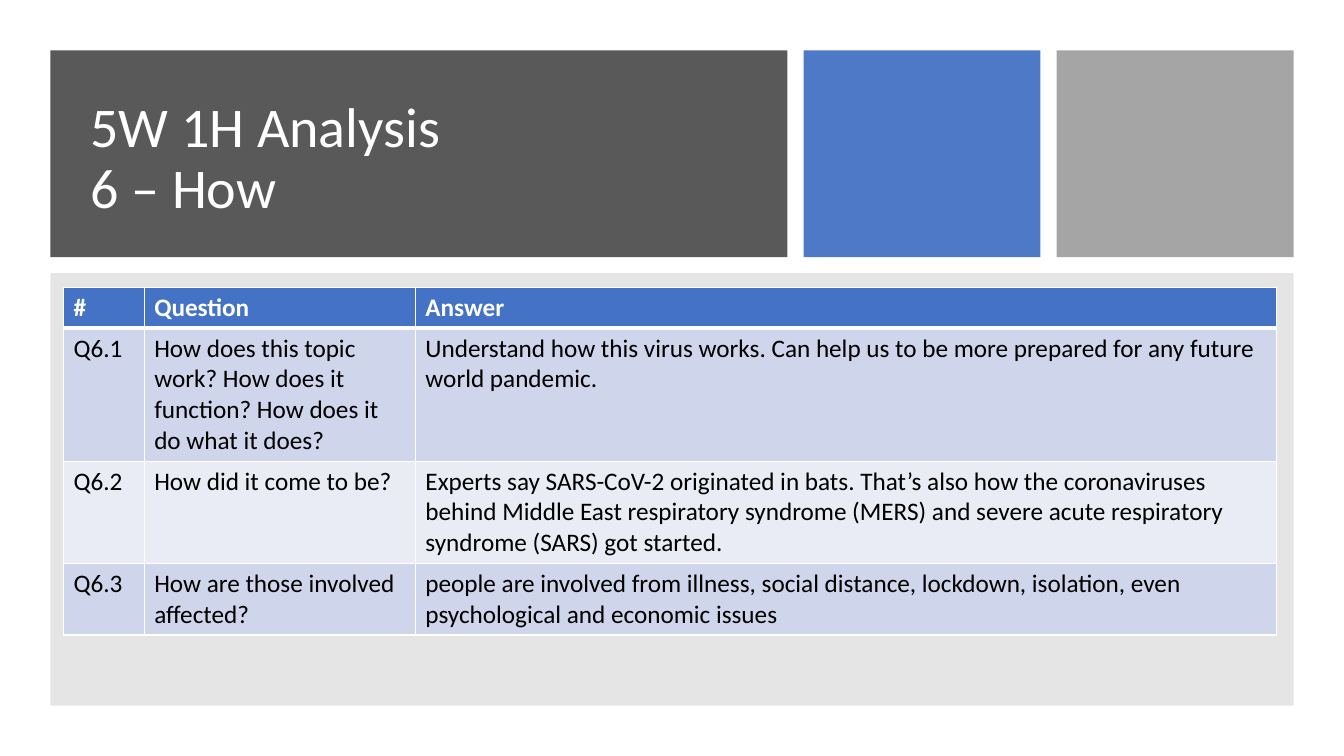
from lxml import etree
from pptx import Presentation
from pptx import util as u
from pptx.dml.color import RGBColor
from pptx.enum import shapes, text
from pptx.oxml import ns

WIDTH, HEIGHT = 13.33, 7.5
MARGIN, GAP = 0.5, 0.16
FONT = "Calibri"
WHITE, BLACK, BLUE = "FFFFFF", "000000", "4472C4"
BANDS = ("CFD5EA", "E9EBF5")
LINE_HEIGHT, CELL_PADDING = 0.305, 0.1

COLUMN_WIDTHS = (0.8, 2.69, 8.54)
HEADINGS = ("#", "Question", "Answer")
# Each entry: number of text lines in the row, then its cells
QUESTIONS = (
    (4, "Q6.1",
     "How does this topic work? How does it function? How does it do what it does?",
     "Understand how this virus works. Can help us to be more prepared for any "
     "future world pandemic. "),
    (3, "Q6.2", "How did it come to be?",
     "Experts say SARS-CoV-2 originated in bats. That’s also how the coronaviruses "
     "behind Middle East respiratory syndrome (MERS) and severe acute respiratory "
     "syndrome (SARS) got started."),
    (2, "Q6.3", "How are those involved affected?",
     "people are involved from illness, social distance, lockdown, isolation, even "
     "psychological and economic issues"),
)


def color(value):
    """Turn a hex string into a colour."""
    return RGBColor.from_string(value)


def inches(*lengths):
    """Convert lengths in inches to slide units."""
    return [u.Inches(length) for length in lengths]


def format_font(font, hex_color, **values):
    """Set the shared font, its colour and further format values."""
    for name, value in {"name": FONT, **values}.items():
        setattr(font, name, value)
    font.color.rgb = color(hex_color)


def add_panel(slide, box, fill, opacity=100):
    """Add a borderless rectangle, optionally see-through."""
    panel = slide.shapes.add_shape(shapes.MSO_SHAPE.RECTANGLE, *inches(*box))
    panel.shadow.inherit = False
    panel.line.fill.background()
    panel.fill.solid()
    panel.fill.fore_color.rgb = color(fill)
    if opacity < 100:
        fill_color = panel._element.spPr.find(".//" + ns.qn("a:srgbClr"))
        alpha = etree.SubElement(fill_color, ns.qn("a:alpha"))
        alpha.set("val", str(opacity * 1000))


def add_title(slide, box, title):
    """Add the title, centred vertically in its panel."""
    left, top, width, height = box
    inset = 0.3
    textbox = slide.shapes.add_textbox(
        *inches(left + inset, top + inset, width - inset, height - 1.6 * inset))
    frame = textbox.text_frame
    frame.word_wrap = True
    frame.vertical_anchor = text.MSO_ANCHOR.MIDDLE
    paragraph = frame.paragraphs[0]
    paragraph.text = title
    paragraph.line_spacing = 0.9
    for run in paragraph.runs:
        format_font(run.font, WHITE, size=u.Pt(40))


def add_header(slide, box, title):
    """Lay out the title panel and two accent tiles across the box."""
    left, top, width, height = box
    tile_width = 2.35
    title_width = width - 2 * (tile_width + GAP)
    title_box = (left, top, title_width, height)
    add_panel(slide, title_box, "595959")
    add_title(slide, title_box, title)
    for index, (fill, opacity) in enumerate(((BLUE, 95), ("A5A5A5", 100))):
        tile_left = left + title_width + GAP + index * (tile_width + GAP)
        add_panel(slide, (tile_left, top, tile_width, height), fill, opacity)


def set_borders(cell, bottom):
    """Draw white borders, with the given width in points at the bottom."""
    properties = cell._tc.get_or_add_tcPr()
    widths = {"a:lnL": 1, "a:lnR": 1, "a:lnT": 1, "a:lnB": bottom}
    for index, (tag, width) in enumerate(widths.items()):
        line = etree.Element(ns.qn(tag), w=str(u.Pt(width)))
        fill = etree.SubElement(line, ns.qn("a:solidFill"))
        etree.SubElement(fill, ns.qn("a:srgbClr"), val=WHITE)
        properties.insert(index, line)


def fill_cell(cell, words, fill, is_heading):
    """Write one cell and give it its fill, font and borders."""
    cell.fill.solid()
    cell.fill.fore_color.rgb = color(fill)
    paragraph = cell.text_frame.paragraphs[0]
    run = paragraph.add_run()
    run.text = words
    format_font(run.font, WHITE if is_heading else BLACK,
                size=u.Pt(18), bold=is_heading)
    set_borders(cell, bottom=3 if is_heading else 1)


def add_answers(slide, box):
    """Place the grey panel in the box and the question table on it."""
    left, top, _, _ = box
    add_panel(slide, box, "808080", 20)
    rows = ((1, *HEADINGS), *QUESTIONS)
    heights = [CELL_PADDING + LINE_HEIGHT * row[0] for row in rows]
    table = slide.shapes.add_table(
        len(rows), len(HEADINGS),
        *inches(left + 0.13, top + 0.14, sum(COLUMN_WIDTHS), sum(heights))).table
    for column, width in zip(table.columns, COLUMN_WIDTHS):
        column.width = u.Inches(width)
    for index, (_, *words) in enumerate(rows):
        table.rows[index].height = u.Inches(heights[index])
        fill = BANDS[(index - 1) % 2] if index else BLUE
        for cell, value in zip(table.rows[index].cells, words):
            fill_cell(cell, value, fill, is_heading=index == 0)


def build_slide(presentation):
    """Stack the header over the answers within the slide margins."""
    slide = presentation.slides.add_slide(presentation.slide_layouts[6])
    width, header_height = WIDTH - 2 * MARGIN, 2.05
    body_top = MARGIN + header_height + GAP
    add_header(slide, (MARGIN, MARGIN, width, header_height),
               "5W 1H Analysis\v6 – How")
    add_answers(slide, (MARGIN, body_top, width, HEIGHT - MARGIN - body_top))


presentation = Presentation()
presentation.slide_width, presentation.slide_height = inches(WIDTH, HEIGHT)
build_slide(presentation)
presentation.save("out.pptx")
